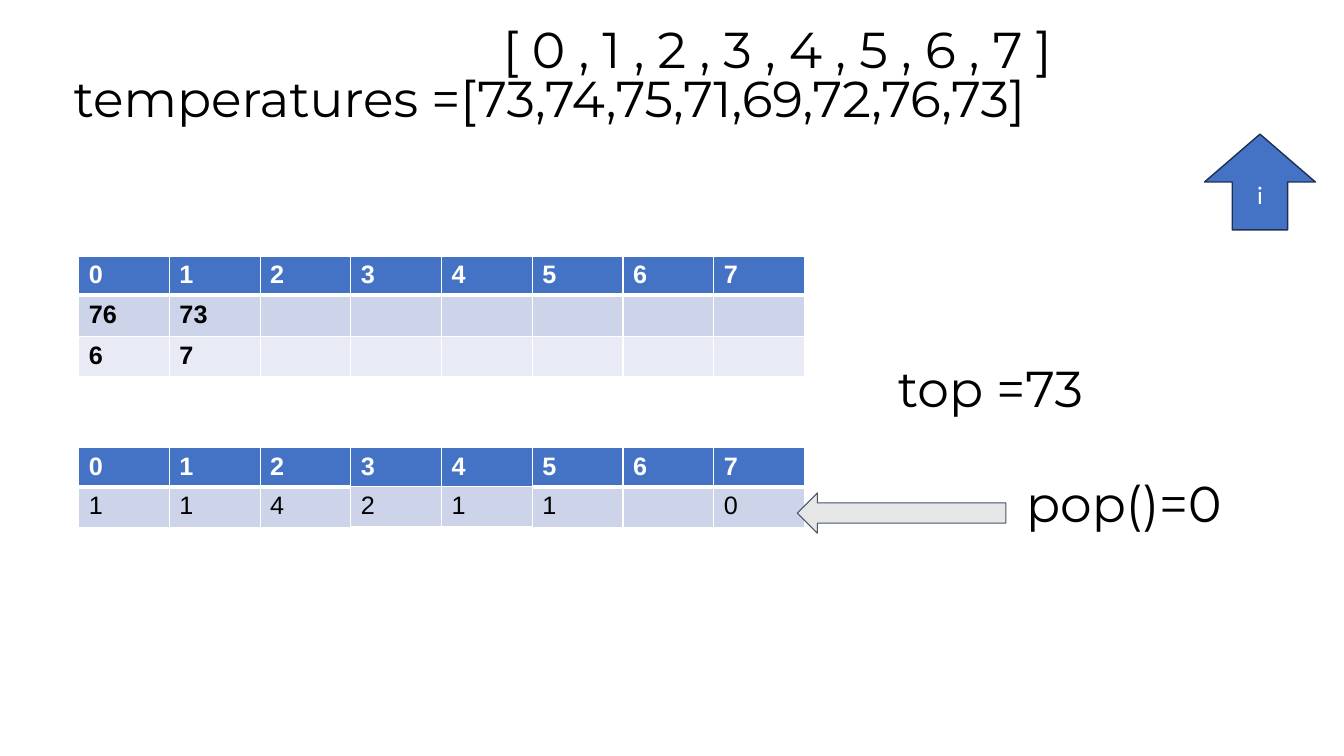
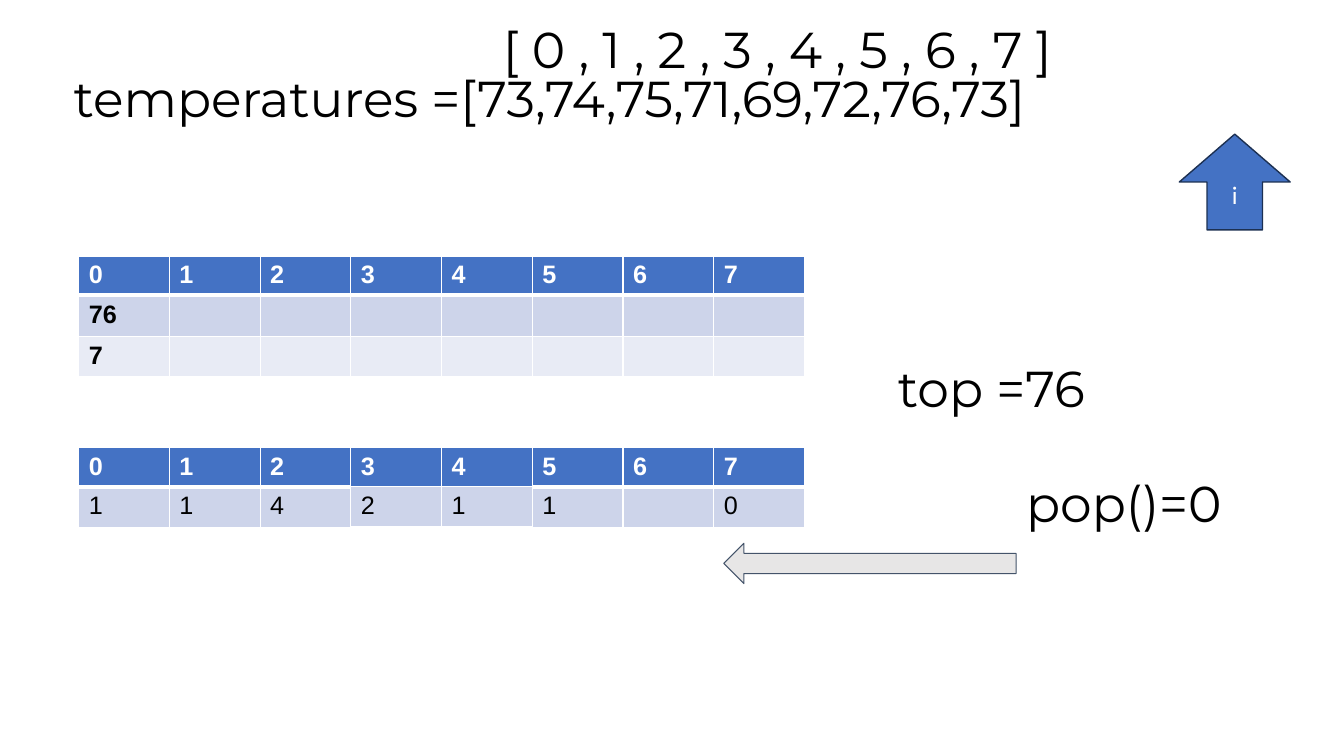
from lxml import etree
from pptx import Presentation
from pptx.dml.color import RGBColor
from pptx.enum import shapes, text
from pptx.oxml import ns
from pptx.util import Pt

# Shared look
BLACK = RGBColor(0x00, 0x00, 0x00)
WHITE = RGBColor(0xFF, 0xFF, 0xFF)
BLUE = RGBColor(0x44, 0x72, 0xC4)
NAVY = RGBColor(0x1C, 0x30, 0x52)
SLATE = RGBColor(0x44, 0x54, 0x6A)
GREY = RGBColor(0xE7, 0xE6, 0xE6)
BANDS = (RGBColor(0xCD, 0xD4, 0xEA), RGBColor(0xE8, 0xEB, 0xF5))

COLUMN, ROW = 64.8, 28.08
TABLE_LEFT = 56.2
THIN, THICK = 1, 3
TITLE = "temperatures =[73,74,75,71,69,72,76,73]"
INDEXES = "[ 0 , 1 , 2 , 3 , 4 , 5 , 6 , 7 ]"
HEADER = list("01234567")
ANSWERS = ["1", "1", "4", "2", "1", "1", "", "0"]


def add_run(paragraph, wording, font, size, color, bold=False):
    run = paragraph.add_run()
    run.text = wording
    run.font.name, run.font.size, run.font.bold = font, Pt(size), bold
    run.font.color.rgb = color


def write_code(frame, wording, inset):
    """Large line of code, as in the title and the labels."""
    frame.word_wrap = True
    frame.margin_left = frame.margin_right = Pt(7.2)
    frame.margin_top = frame.margin_bottom = Pt(inset)
    line = frame.paragraphs[0]
    line.alignment = text.PP_ALIGN.LEFT
    line.line_spacing = 0.9
    add_run(line, wording, "Montserrat", 36, BLACK)


def add_title(slide):
    title = slide.shapes.title
    title.left, title.top, title.width, title.height = Pt(45.4), Pt(20.2), Pt(841), Pt(104.4)
    title.text_frame.auto_size = text.MSO_AUTO_SIZE.NONE
    title.text_frame.vertical_anchor = text.MSO_ANCHOR.MIDDLE
    write_code(title.text_frame, TITLE, 3.6)


def add_label(slide, wording, left, top, width, height):
    label = slide.shapes.add_textbox(Pt(left), Pt(top), Pt(width), Pt(height))
    write_code(label.text_frame, wording, 7.2)


def add_block_arrow(slide, preset, left, top, width, height, fill, line, weight):
    arrow = slide.shapes.add_shape(preset, Pt(left), Pt(top), Pt(width), Pt(height))
    arrow.shadow.inherit = False
    arrow.fill.solid()
    arrow.fill.fore_color.rgb = fill
    arrow.line.color.rgb = line
    arrow.line.width = Pt(weight)
    return arrow


def add_borders(cell, bottom):
    properties = cell._tc.get_or_add_tcPr()
    for side, weight in (("L", THIN), ("R", THIN), ("T", THIN), ("B", bottom)):
        border = etree.SubElement(properties, ns.qn("a:ln" + side), w=str(Pt(weight)))
        fill = etree.SubElement(border, ns.qn("a:solidFill"))
        etree.SubElement(fill, ns.qn("a:srgbClr"), val=str(WHITE))


def add_array(slide, top, body, bold, shifted=()):
    """Index row over value rows; shifted columns have the thick rule at the foot."""
    rows = [HEADER] + body
    grid = slide.shapes.add_table(len(rows), len(HEADER), Pt(TABLE_LEFT), Pt(top),
                                  Pt(COLUMN * len(HEADER)), Pt(ROW * len(rows))).table
    for column in grid.columns:
        column.width = Pt(COLUMN)
    for r, values in enumerate(rows):
        grid.rows[r].height = Pt(ROW)
        is_header = r == 0
        for c, value in enumerate(values):
            cell = grid.cell(r, c)
            add_borders(cell, THICK if is_header != (c in shifted) else THIN)
            cell.fill.solid()
            cell.fill.fore_color.rgb = BLUE if is_header else BANDS[(r - 1) % 2]
            if value:
                add_run(cell.text_frame.paragraphs[0], value, "Arial", 18,
                        WHITE if is_header else BLACK, is_header or bold)


def padded(values):
    return values + [""] * (len(HEADER) - len(values))


def add_step(deck, stack, top_value, pointer_left, pop_arrow):
    slide = deck.slides.add_slide(deck.slide_layouts[5])
    add_title(slide)

    # Stack of values and their indexes
    add_array(slide, 182.9, [padded(row) for row in stack], bold=True)

    # Loop pointer
    pointer = add_block_arrow(slide, shapes.MSO_SHAPE.UP_ARROW, pointer_left, 95.8,
                              79.2, 68.4, BLUE, NAVY, 1)
    letter = pointer.text_frame.paragraphs[0]
    letter.alignment = text.PP_ALIGN.CENTER
    add_run(letter, "i", "Calibri", 18, WHITE)

    # Answers and the popped value
    add_array(slide, 319.7, [ANSWERS], bold=False, shifted=(3, 4))
    add_label(slide, "top =" + top_value, 634.3, 252.7, 305.3, 54)
    left, top, width = pop_arrow
    add_block_arrow(slide, shapes.MSO_SHAPE.LEFT_ARROW, left, top, width, 28.8,
                    GREY, SLATE, 0.75)
    add_label(slide, "pop()=0", 725.8, 334.8, 236, 54)
    add_label(slide, INDEXES, 352.1, 10.8, 592.6, 41)


def main():
    deck = Presentation()
    deck.slide_width, deck.slide_height = Pt(960), Pt(540)
    add_step(deck, [["76", "73"], ["6", "7"]], "73", 860.4, (569.5, 352.1, 149))
    add_step(deck, [["76"], ["7"]], "76", 842.4, (517, 388.1, 208.8))
    deck.save("out.pptx")


if __name__ == "__main__":
    main()
